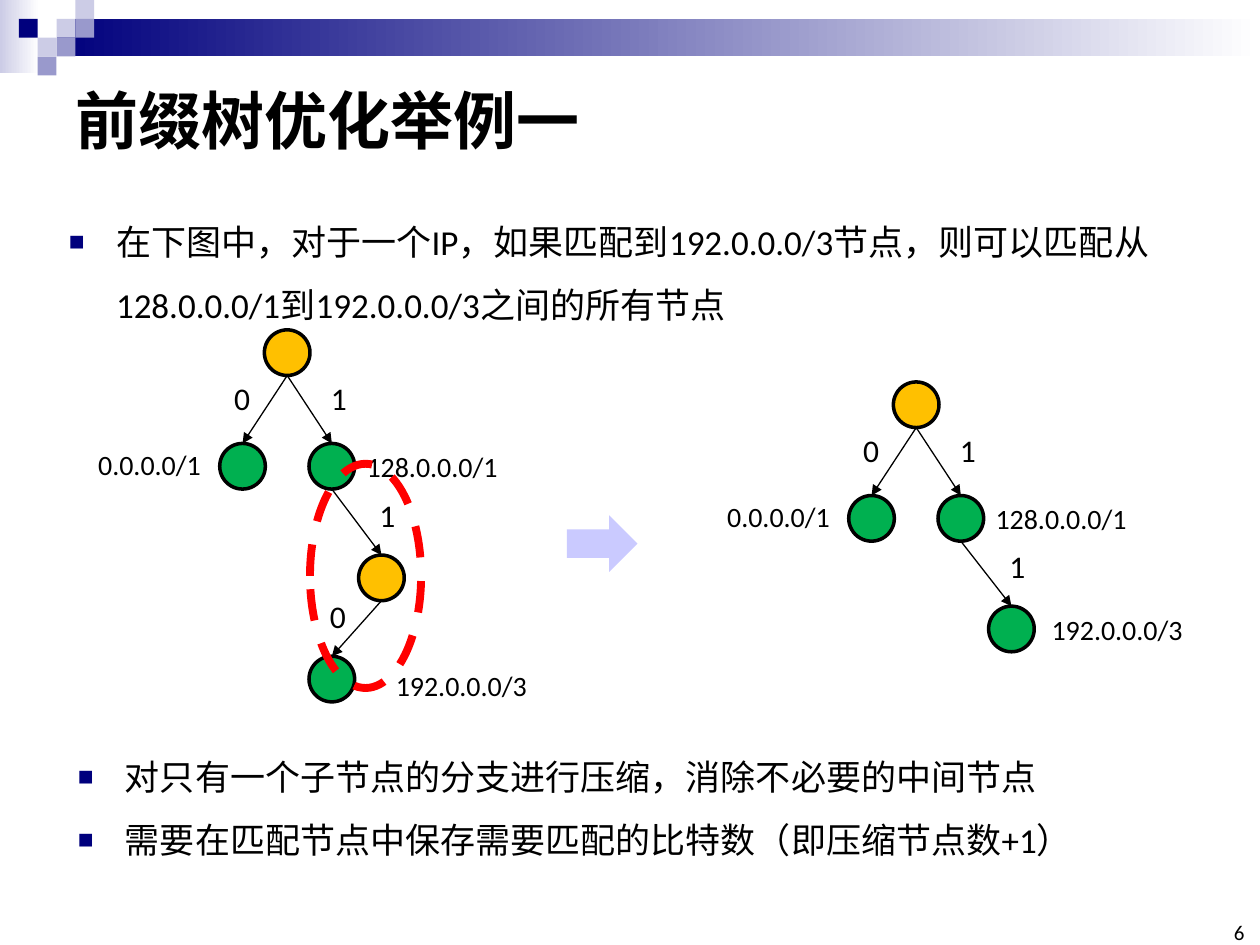
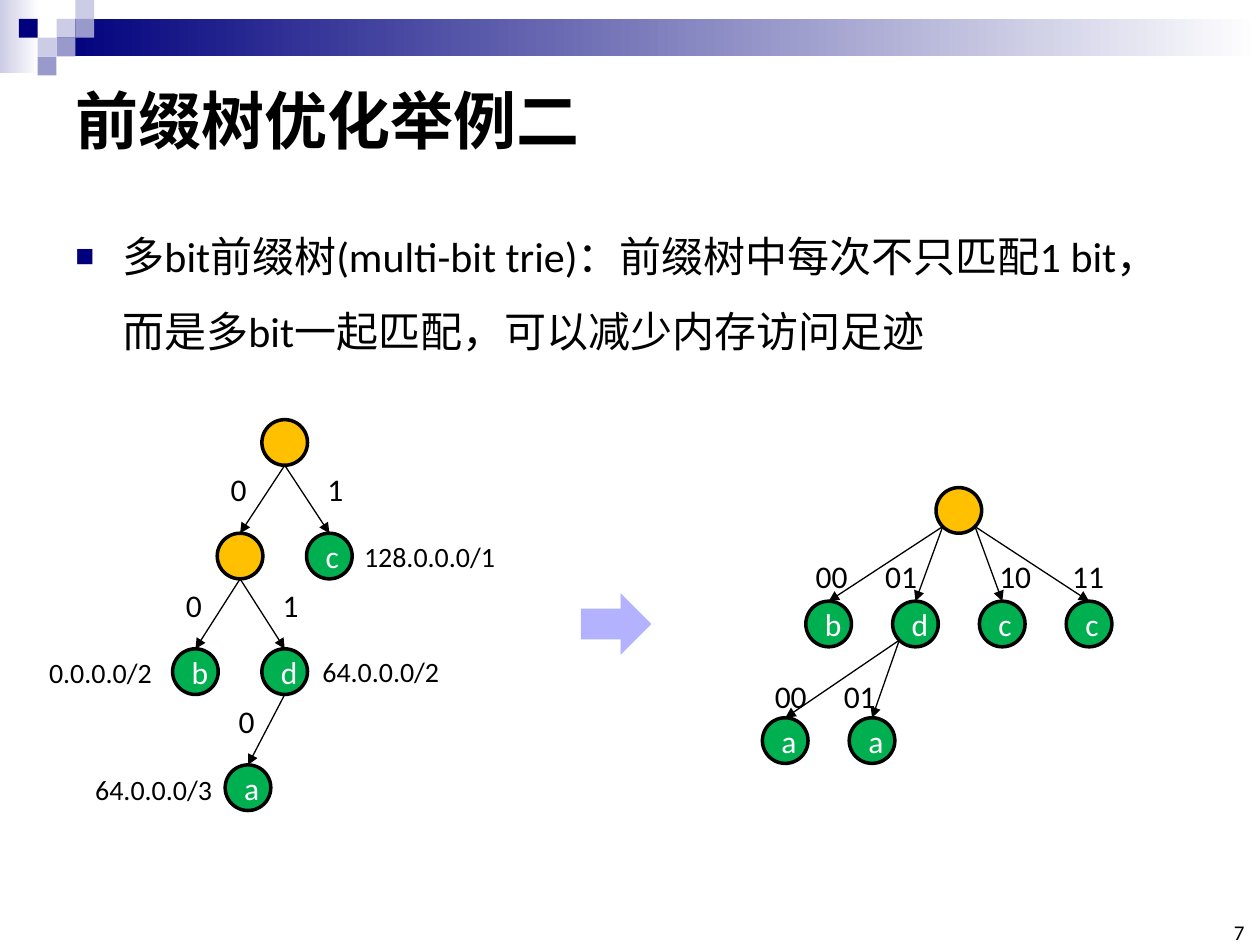
from collections import namedtuple

from lxml import etree
from pptx import Presentation
from pptx.dml.color import RGBColor
from pptx.enum import dml, shapes, text
from pptx.oxml import ns
from pptx.util import Cm, Pt

FONT = "Calibri"
BLACK, WHITE, RED = "000000", "FFFFFF", "FF0000"
NAVY, MID, PALE = "00007D", "9999CC", "CCCCE6"
GOLD, GREEN = "FFC000", "00B050"
DIAM = 0.92
SQUARE = 0.38
KIND = shapes.MSO_SHAPE
ALIGN = text.PP_ALIGN
ANCHOR = text.MSO_ANCHOR

Node = namedtuple("Node", "x y fill letter parent bit shift prefix place",
                  defaults=("", None, "", (0, 0), "", (0, 0)))


def color(code):
    """Turn a hex string into a colour."""
    return RGBColor.from_string(code)


def child(parent, tag, **attrs):
    """Append a drawing element to an XML parent."""
    return etree.SubElement(parent, ns.qn(tag), attrs)


def style(frame, size, code=BLACK, bold=False, align=None):
    """Format every run of a text frame."""
    for para in frame.paragraphs:
        para.alignment = align
        for run in para.runs:
            run.font.name, run.font.size, run.font.bold = FONT, Pt(size), bold
            run.font.color.rgb = color(code)


def write(host, box, words, size, wrap=True, anchor=ANCHOR.TOP, **look):
    """Add a text box and return its frame."""
    frame = host.add_textbox(*map(Cm, box)).text_frame
    frame.word_wrap = wrap
    frame.vertical_anchor = anchor
    frame.text = words
    style(frame, size, **look)
    return frame


def tag(host, x, y, words, size, wide):
    """Add a label that is as wide as its words."""
    frame = write(host, (x, y, wide, 0.94), words, size, wrap=False)
    frame.auto_size = text.MSO_AUTO_SIZE.SHAPE_TO_FIT_TEXT


def draw(host, kind, box, fill=None, line=None, width=2):
    """Add a flat preset shape."""
    shape = host.add_shape(kind, *map(Cm, box))
    shape.shadow.inherit = False
    if fill:
        shape.fill.solid()
        shape.fill.fore_color.rgb = color(fill)
    else:
        shape.fill.background()
    if line:
        shape.line.color.rgb = color(line)
        shape.line.width = Pt(width)
    else:
        shape.line.fill.background()
    return shape


def fade(host, box, start):
    """Add a band that fades from a colour to white."""
    fill = draw(host, KIND.RECTANGLE, box).fill
    fill.gradient()
    fill.gradient_angle = 0
    for stop, code in zip(fill.gradient_stops, (start, WHITE)):
        stop.color.rgb = color(code)


def arrow(host, start, end):
    """Add a thin line with an arrowhead at its end."""
    line = host.add_connector(shapes.MSO_CONNECTOR.STRAIGHT,
                              *map(Cm, (*start, *end)))
    line.line.color.rgb = color(BLACK)
    line.line.width = Pt(0.75)
    child(line.line._get_or_add_ln(), "a:tailEnd", type="triangle")
    child(line._element.spPr, "a:effectLst")


def header(slide):
    """Draw the bands and the squares at the top."""
    group = slide.shapes.add_group_shape().shapes
    fade(group, (0, 0, 0.79, 1.47), PALE)
    fade(group, (1.14, SQUARE, 24.26, 0.76), NAVY)
    tiles = ((1, 1, PALE), (2, 0, PALE), (2, 1, MID), (0, 2, PALE),
             (-1, 1, NAVY), (1, 2, MID), (0, 3, MID))
    for col, row, code in tiles:
        box = (0.76 + col * SQUARE, row * SQUARE, SQUARE, SQUARE)
        draw(group, KIND.RECTANGLE, box, code)


def page(deck, title, number):
    """Add a slide with header, title and number."""
    slide = deck.slides.add_slide(deck.slide_layouts[6])
    header(slide)
    write(slide.shapes, (1.27, 1.27, 22.86, 2.26), title, 36,
          anchor=ANCHOR.MIDDLE, bold=True)
    frame = write(slide.shapes, (24.51, 18.62, 0.58, 0.43), str(number), 12,
                  anchor=ANCHOR.BOTTOM, align=ALIGN.RIGHT)
    frame.margin_left = frame.margin_right = 0
    frame.margin_top = frame.margin_bottom = 0
    return slide


def points(slide, box, lines, size):
    """Add a list with square bullets."""
    frame = write(slide.shapes, box, "\n".join(lines), size)
    for para in frame.paragraphs:
        para.line_spacing = 1.5
        props = para._p.get_or_add_pPr()
        props.set("marL", str(Cm(0.95)))
        props.set("indent", str(-Cm(0.95)))
        child(child(props, "a:buClr"), "a:srgbClr", val=NAVY)
        child(props, "a:buSzPct", val="75000")
        child(props, "a:buFont", typeface="Arial")
        child(props, "a:buChar", char="■")


def tree(slide, left, top, nodes, fan=False):
    """Draw a prefix tree whose root sits at left, top."""
    group = slide.shapes.add_group_shape().shapes
    half, near = DIAM / 2, DIAM * 0.146
    for node in nodes:
        x, y = left + node.x, top + node.y
        ball = draw(group, KIND.OVAL, (x, y, DIAM, DIAM), node.fill, BLACK)
        if node.letter:
            ball.text_frame.text = node.letter
            style(ball.text_frame, 18, WHITE, align=ALIGN.CENTER)
    for node in nodes:
        x, y = left + node.x, top + node.y
        if node.parent is not None:
            up = nodes[node.parent]
            dx, dy = half, DIAM
            if fan:
                dx = near if node.x < up.x else DIAM - near
                dy = DIAM - near
            arrow(group, (left + up.x + dx, top + up.y + dy), (x + half, y))
        if node.bit:
            dx, dy = node.shift
            tag(group, x + dx, y + dy, node.bit, 18,
                0.51 + 0.33 * len(node.bit))
        if node.prefix:
            dx, dy = node.place
            tag(group, x + dx, y + dy, node.prefix, 16,
                0.1 + 0.28 * len(node.prefix))


def first(deck):
    """Build the slide on path compression."""
    slide = page(deck, "前缀树优化举例一", 6)
    points(slide, (1.14, 3.89, 22.86, 2.77),
           ["在下图中，对于一个IP，如果匹配到192.0.0.0/3节点，"
            "则可以匹配从128.0.0.0/1到192.0.0.0/3之间的所有节点"], 20)
    start = [
        Node(0, 0, GOLD),
        Node(-0.9, 2.29, GREEN, "", 0, "0", (0.04, -1.42),
             "0.0.0.0/1", (-2.7, -0.04)),
        Node(0.9, 2.29, GREEN, "", 0, "1", (0.19, -1.42),
             "128.0.0.0/1", (0.91, 0)),
    ]
    low, last = (0.17, -1.32), "192.0.0.0/3"
    tree(slide, 5.33, 6.65, start + [
        Node(1.9, 4.54, GOLD, "", 2, "1", low),
        Node(0.9, 6.58, GREEN, "", 3, "0", low, last, (1.5, 0.13)),
    ])
    ring = draw(slide.shapes, KIND.OVAL, (6.25, 9.35, 2.24, 4.52),
                None, RED, 4.5)
    ring.line.dash_style = dml.MSO_LINE.DASH
    draw(slide.shapes, KIND.RIGHT_ARROW, (11.43, 10.39, 1.42, 1.14), "CACAFF")
    tree(slide, 18.01, 7.7, start + [
        Node(1.92, 4.52, GREEN, "", 2, "1", low, last, (1.02, 0)),
    ])
    points(slide, (1.32, 14.68, 23.39, 2.77),
           ["对只有一个子节点的分支进行压缩，消除不必要的中间节点",
            "需要在匹配节点中保存需要匹配的比特数（即压缩节点数+1）"], 20)


def second(deck):
    """Build the slide on multi-bit tries."""
    slide = page(deck, "前缀树优化举例二", 7)
    points(slide, (1.27, 4.01, 22.86, 3.51),
           ["多bit前缀树(multi-bit trie)：前缀树中每次不只匹配1 bit，"
            "而是多bit一起匹配，可以减少内存访问足迹"], 24)
    zero, one = (0.02, -1.4), (0.17, -1.4)
    tree(slide, 5.28, 8.46, [
        Node(0, 0, GOLD),
        Node(-0.9, 2.29, GOLD, "", 0, "0", zero),
        Node(0.9, 2.29, GREEN, "c", 0, "1", one, "128.0.0.0/1", (0.91, 0)),
        Node(-1.8, 4.62, GREEN, "b", 1, "0", zero, "0.0.0.0/2", (-2.74, 0.02)),
        Node(0, 4.62, GREEN, "d", 1, "1", one, "64.0.0.0/2", (0.97, 0)),
        Node(-0.74, 6.96, GREEN, "a", 4, "0", zero,
             "64.0.0.0/3", (-2.87, 0.02)),
    ])
    step = 1.75
    leaves = zip("bdcc", ("00", "01", "10", "11"), (-0.05, -0.4, 0.15, -0.13))
    nodes = [Node(0, 0, GOLD)]
    for i, (letter, bit, dx) in enumerate(leaves):
        nodes.append(Node((i - 1.5) * step, 2.29, GREEN, letter, 0,
                          bit, (dx, -1.02)))
    for i, (bit, dx) in enumerate((("00", 0), ("01", -0.36))):
        nodes.append(Node((i - 2) * step, 4.64, GREEN, "a", 2,
                          bit, (dx, -0.95)))
    tree(slide, 18.87, 9.83, nodes, fan=True)
    draw(slide.shapes, KIND.RIGHT_ARROW, (11.71, 11.96, 1.42, 1.24), "B2B2FF")


def main():
    """Build and save the deck."""
    deck = Presentation()
    deck.slide_width, deck.slide_height = Cm(25.4), Cm(19.05)
    first(deck)
    second(deck)
    deck.save("out.pptx")


main()
